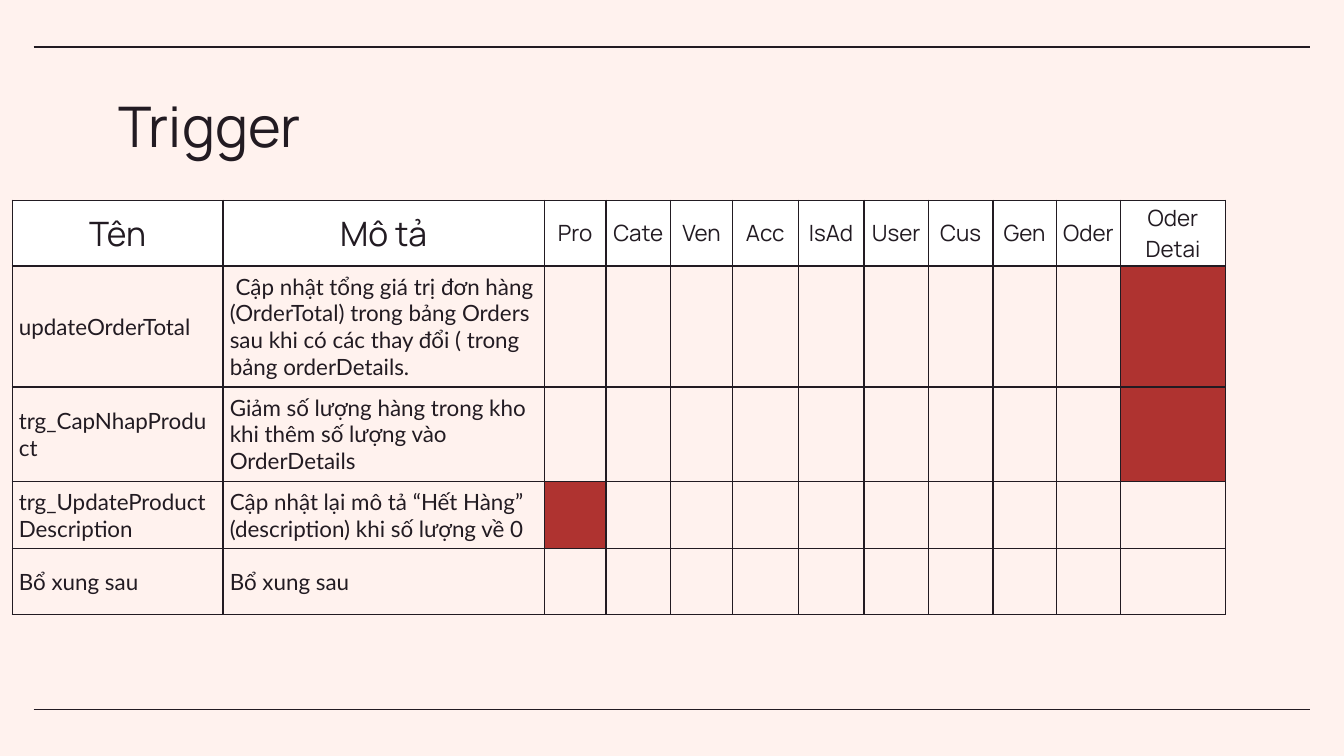
from lxml import etree
from pptx import Presentation
from pptx.dml.color import RGBColor
from pptx.enum import shapes, text
from pptx.oxml import ns
from pptx.util import Inches, Pt

INK, PAPER, WHITE, RED = "221B22", "FFF2EE", "FFFFFF", "AF3330"
HEAD, BODY = "Manrope", "Lato"

COLS = [1.57, 2.39, 0.46, 0.48, 0.46, 0.49, 0.49, 0.48, 0.48, 0.47, 0.48, 0.78]
ROWS = [0.49, 0.9, 0.7, 0.49, 0.49]
NAMES = ["Tên", "Mô tả", "Pro", "Cate", "Ven", "Acc", "IsAd", "User",
         "Cus", "Gen", "Oder", "Oder\nDetai"]
# Trigger name, what it does, column of the table it acts on
TRIGGERS = [
    ("updateOrderTotal",
     " Cập nhật tổng giá trị đơn hàng (OrderTotal) trong bảng Orders "
     "sau khi có các thay đổi ( trong bảng orderDetails.", 11),
    ("trg_CapNhapProduct",
     "Giảm số lượng hàng trong kho khi thêm số lượng vào OrderDetails", 11),
    ("trg_UpdateProductDescription",
     "Cập nhật lại mô tả “Hết Hàng” (description) khi số lượng về 0", 2),
    ("Bổ xung sau", "Bổ xung sau", None),
]


def color(hue):
    return RGBColor.from_string(hue)


def paint(fill, hue):
    fill.solid()
    fill.fore_color.rgb = color(hue)


def write(frame, words, size=12, font=BODY, hue=INK, align=text.PP_ALIGN.LEFT):
    frame.text = words
    for para in frame.paragraphs:
        para.alignment = align
        for run in para.runs:
            run.font.size = Pt(size)
            run.font.name = font
            run.font.color.rgb = color(hue)


def rule(slide, left, top, width):
    line = slide.shapes.add_connector(
        shapes.MSO_CONNECTOR.STRAIGHT, Inches(left), Inches(top),
        Inches(left + width), Inches(top))
    line.line.color.rgb = color(INK)
    line.line.width = Pt(0.75)
    etree.SubElement(line._element.spPr, ns.qn("a:effectLst"))


def heading(slide, left, top, width, height):
    title = slide.shapes.title
    title.left, title.top = Inches(left), Inches(top)
    title.width, title.height = Inches(width), Inches(height)
    frame = title.text_frame
    frame.margin_left = frame.margin_right = Inches(0.1)
    frame.margin_top = frame.margin_bottom = Inches(0.1)
    frame.vertical_anchor = text.MSO_ANCHOR.TOP
    frame.auto_size = text.MSO_AUTO_SIZE.NONE
    frame.word_wrap = True
    write(frame, "Trigger", size=30, font=HEAD)


def border(cell):
    props = cell._tc.get_or_add_tcPr()
    for spot, side in enumerate(("lnL", "lnR", "lnT", "lnB")):
        line = etree.Element(ns.qn("a:" + side), w=str(Pt(0.75)))
        fill = etree.SubElement(line, ns.qn("a:solidFill"))
        etree.SubElement(fill, ns.qn("a:srgbClr"), val=INK)
        props.insert(spot, line)


def style(cell, pad, hue=None):
    cell.margin_left = cell.margin_right = Inches(pad)
    cell.margin_top = cell.margin_bottom = Inches(pad)
    cell.vertical_anchor = text.MSO_ANCHOR.MIDDLE
    if hue:
        paint(cell.fill, hue)
    else:
        cell.fill.background()
    border(cell)


def matrix(slide, left, top):
    grid = slide.shapes.add_table(
        len(ROWS), len(COLS), Inches(left), Inches(top),
        Inches(sum(COLS)), Inches(sum(ROWS))).table
    grid.first_row = grid.horz_banding = False
    for col, width in zip(grid.columns, COLS):
        col.width = Inches(width)
    for row, height in zip(grid.rows, ROWS):
        row.height = Inches(height)

    # Header row
    for col, name in enumerate(NAMES):
        cell = grid.cell(0, col)
        style(cell, 0, WHITE)
        write(cell.text_frame, name, size=18 if col < 2 else 12, font=HEAD,
              align=text.PP_ALIGN.CENTER)

    # One row for each trigger, with its table marked
    for row, (name, note, mark) in enumerate(TRIGGERS, 1):
        for col in range(len(COLS)):
            style(grid.cell(row, col), 0.05, RED if col == mark else None)
        for col, words in enumerate((name, note)):
            write(grid.cell(row, col).text_frame, words)


def main():
    deck = Presentation()
    # Widescreen, 16 by 9
    deck.slide_width = Inches(10)
    deck.slide_height = Inches(10) * 9 // 16
    slide = deck.slides.add_slide(deck.slide_layouts[5])
    paint(slide.background.fill, PAPER)
    for top in (0.35, 5.28):
        rule(slide, 0.25, top, 9.5)
    heading(slide, 0.78, 0.58, 8.44, 0.63)
    matrix(slide, 0.09, 1.49)
    deck.save("out.pptx")


if __name__ == "__main__":
    main()
